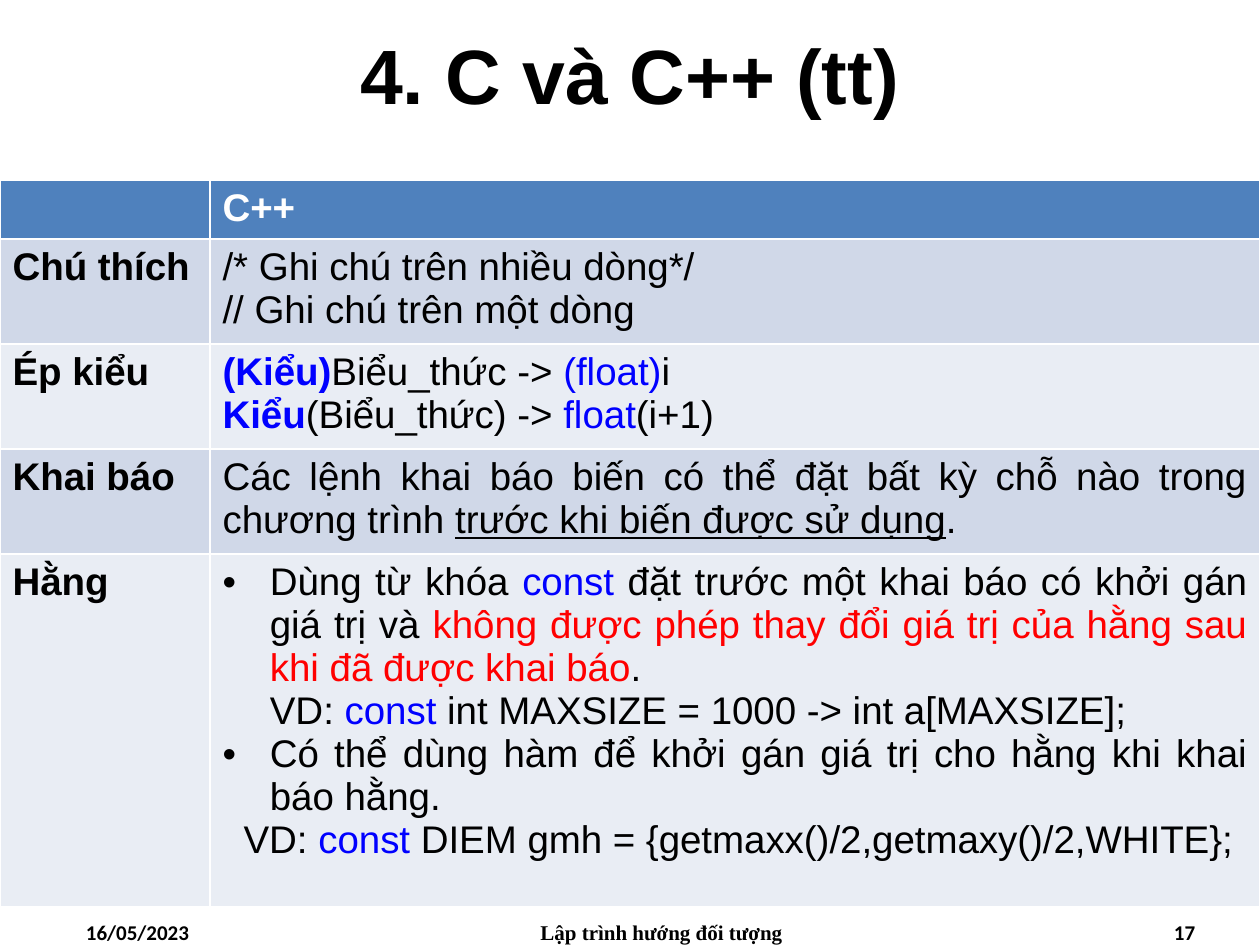
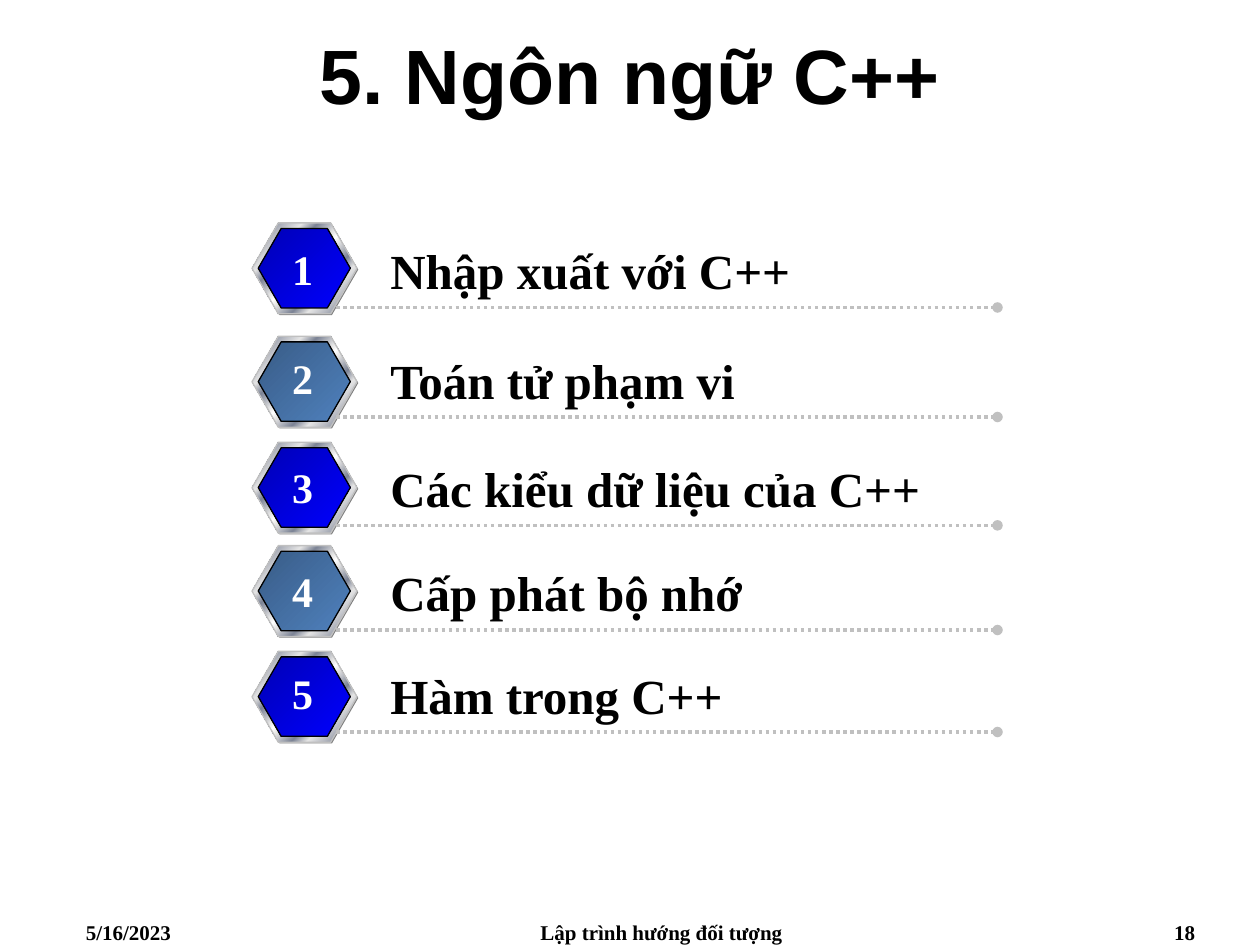
from dataclasses import dataclass

from lxml.etree import SubElement
from pptx import Presentation
from pptx.dml.color import RGBColor
from pptx.enum.dml import MSO_LINE
from pptx.enum.shapes import MSO_CONNECTOR, MSO_SHAPE
from pptx.enum.text import MSO_ANCHOR, PP_ALIGN
from pptx.oxml.ns import qn
from pptx.util import Pt


@dataclass(frozen=True)
class Theme:
    sans: str = "Arial"
    serif: str = "Times New Roman"
    number_font: str = "Calibri"
    title_size: int = 44
    item_size: int = 28
    badge_size: int = 24
    table_size: int = 22
    footer_size: int = 12
    black: str = "000000"
    white: str = "FFFFFF"
    keyword: str = "0000FF"
    warning: str = "FF0000"
    header_fill: str = "4F81BD"
    band_fills: tuple = ("D0D8E8", "E9EDF4")
    silver: str = "C0C0C0"
    shadow: str = "808080"
    metal: tuple = (
        (0, "E6E6E6"), (7, "7D8496"), (26, "E6E6E6"), (34, "7D8496"),
        (46, "E6E6E6"), (50, "FFFFFF"), (54, "E6E6E6"), (66, "7D8496"),
        (74, "E6E6E6"), (93, "7D8496"), (100, "E6E6E6"),
    )
    badge_gradients: tuple = (
        ((0, "0000B6"), (100, "0000FF")),
        ((0, "395C87"), (100, "4F81BD")),
    )


THEME = Theme()
KEYWORD = {"color": THEME.keyword}
BOLD_KEYWORD = {"color": THEME.keyword, "bold": True}
WARNING = {"color": THEME.warning}
UNDERLINE = {"underline": True}

COURSE = "Lập trình hướng đối tượng"

# Each cell is a list of (runs, layout) paragraphs.
COMPARISON = [
    ("Chú thích", [
        (["/* Ghi chú trên nhiều dòng*/"], {}),
        (["// Ghi chú trên một dòng"], {}),
    ]),
    ("Ép kiểu", [
        ([("(Kiểu)", BOLD_KEYWORD), "Biểu_thức -> ", ("(float)", KEYWORD), "i"], {}),
        ([("Kiểu", BOLD_KEYWORD), "(Biểu_thức) -> ", ("float", KEYWORD), "(i+1)"], {}),
    ]),
    ("Khai báo", [
        (["Các lệnh khai báo biến có thể đặt bất kỳ chỗ nào trong chương trình ",
          ("trước khi biến được sử dụng", UNDERLINE), "."], {}),
    ]),
    ("Hằng", [
        (["Dùng từ khóa ", ("const ", KEYWORD),
          "đặt trước một khai báo có khởi gán giá trị và ",
          ("không được phép thay đổi giá trị của hằng sau khi đã được khai báo", WARNING),
          "."], {"margin": 27, "bullet": True}),
        (["VD: ", ("const", KEYWORD), " int MAXSIZE = 1000 -> int a[MAXSIZE];"],
         {"margin": 27}),
        (["Có thể dùng hàm để khởi gán giá trị cho hằng khi khai báo hằng."],
         {"margin": 27, "bullet": True}),
        (["VD: ", ("const", KEYWORD), " DIEM gmh = {getmaxx()/2,getmaxy()/2,WHITE};"],
         {"margin": 12}),
    ]),
]

# Item text, top of its hexagon, height of its dotted line.
AGENDA = [
    ("Nhập xuất với C++", 127.4, 175.7),
    ("Toán tử phạm vi", 192.2, 238.3),
    ("Các kiểu dữ liệu của C++", 252.7, 300.2),
    ("Cấp phát bộ nhớ", 311.8, 360),
    ("Hàm trong C++", 372.2, 418.3),
]


def rgb(color):
    return RGBColor.from_string(color)


def format_paragraph(paragraph, name, size, color, bold=False, align=PP_ALIGN.LEFT):
    paragraph.alignment = align
    font = paragraph.font
    font.name, font.size, font.bold = name, Pt(size), bold
    font.color.rgb = rgb(color)


def add_text(shapes, text, box, name, size, color=THEME.black,
             align=PP_ALIGN.LEFT, wrap=True):
    frame = shapes.add_textbox(*map(Pt, box)).text_frame
    frame.word_wrap = wrap
    frame.text = text
    format_paragraph(frame.paragraphs[0], name, size, color, True, align)


def add_title_slide(presentation, title, date, number, number_font):
    """Add a slide with the shared title style and the three footer texts."""
    slide = presentation.slides.add_slide(presentation.slide_layouts[5])
    placeholder = slide.shapes.title
    placeholder.left, placeholder.top = Pt(0), Pt(0)
    placeholder.width, placeholder.height = presentation.slide_width, Pt(84)
    frame = placeholder.text_frame
    frame.text = title
    frame.vertical_anchor = MSO_ANCHOR.MIDDLE
    format_paragraph(frame.paragraphs[0], THEME.sans, THEME.title_size,
                     THEME.black, True, PP_ALIGN.CENTER)
    footers = [
        (date, 42, 168, number_font, PP_ALIGN.LEFT),
        (COURSE, 264, 228, THEME.serif, PP_ALIGN.CENTER),
        (number, 522, 168, number_font, PP_ALIGN.RIGHT),
    ]
    for text, left, width, name, align in footers:
        add_text(slide.shapes, text, (left, 522, width, 18), name,
                 THEME.footer_size, align=align)
    return slide


def set_indent(paragraph, margin, bullet=False):
    properties = paragraph._p.get_or_add_pPr()
    properties.set("marL", str(Pt(margin)))
    properties.set("indent", str(Pt(-margin if bullet else 0)))
    if bullet:
        font = SubElement(properties, qn("a:buFont"))
        font.set("typeface", THEME.sans)
        mark = SubElement(properties, qn("a:buChar"))
        mark.set("char", "•")


def add_run(paragraph, text, color=None, bold=None, underline=None):
    run = paragraph.add_run()
    run.text = text
    run.font.bold, run.font.underline = bold, underline
    if color:
        run.font.color.rgb = rgb(color)


def fill_cell(cell, paragraphs, fill, color=THEME.black, bold=False):
    cell.fill.solid()
    cell.fill.fore_color.rgb = rgb(fill)
    frame = cell.text_frame
    for index, (runs, layout) in enumerate(paragraphs):
        paragraph = frame.add_paragraph() if index else frame.paragraphs[0]
        if layout:
            set_indent(paragraph, **layout)
        format_paragraph(paragraph, THEME.sans, THEME.table_size, color, bold,
                         PP_ALIGN.JUSTIFY)
        for run in runs:
            text, style = (run, {}) if isinstance(run, str) else run
            add_run(paragraph, text, **style)


def add_comparison_table(slide):
    column_widths = (120, 600)
    row_heights = (32.4, 57.6, 57.6, 57.6, 201.6)
    table = slide.shapes.add_table(
        len(row_heights), len(column_widths), Pt(0), Pt(103),
        Pt(sum(column_widths)), Pt(sum(row_heights))).table
    for column, width in zip(table.columns, column_widths):
        column.width = Pt(width)
    for row, height in zip(table.rows, row_heights):
        row.height = Pt(height)
    fill_cell(table.cell(0, 0), [], THEME.header_fill)
    fill_cell(table.cell(0, 1), [(["C++"], {})], THEME.header_fill, THEME.white, True)
    for row, (heading, paragraphs) in enumerate(COMPARISON, 1):
        fill = THEME.band_fills[(row - 1) % 2]
        fill_cell(table.cell(row, 0), [([heading], {})], fill, bold=True)
        fill_cell(table.cell(row, 1), paragraphs, fill)


def set_gradient(shape, stops):
    """Fill the shape at 45 degrees with (percent, colour) stops."""
    shape.fill.gradient()
    shape.fill.gradient_angle = 315
    stop_list = shape._element.spPr.find(qn("a:gradFill")).find(qn("a:gsLst"))
    stop_list.clear()
    for percent, color in stops:
        stop = SubElement(stop_list, qn("a:gs"))
        stop.set("pos", str(percent * 1000))
        SubElement(stop, qn("a:srgbClr")).set("val", color)


def add_hexagon(shapes, left, top, width, height, stops=None, line=None):
    hexagon = shapes.add_shape(MSO_SHAPE.HEXAGON, *map(Pt, (left, top, width, height)))
    hexagon.shadow.inherit = False
    hexagon.adjustments[0] = 0.289
    if stops:
        set_gradient(hexagon, stops)
    else:
        hexagon.fill.solid()
        hexagon.fill.fore_color.rgb = rgb(THEME.shadow)
    if line:
        hexagon.line.color.rgb = rgb(line)
        hexagon.line.width = Pt(0.75)
    else:
        hexagon.line.fill.background()


def add_dotted_line(shapes, left, right, y):
    connector = shapes.add_connector(
        MSO_CONNECTOR.STRAIGHT, Pt(left), Pt(y), Pt(right), Pt(y))
    connector.line.color.rgb = rgb(THEME.silver)
    connector.line.width = Pt(2)
    connector.line.dash_style = MSO_LINE.ROUND_DOT
    properties = connector._element.spPr
    SubElement(properties.find(qn("a:ln")), qn("a:tailEnd")).set("type", "oval")
    SubElement(properties, qn("a:effectLst"))


def add_agenda_item(slide, number, text, top, line_y):
    shapes = slide.shapes.add_group_shape().shapes
    add_hexagon(shapes, 144.7, top + 0.7, 60, 52)
    add_hexagon(shapes, 144, top, 60, 52, THEME.metal, THEME.silver)
    add_hexagon(shapes, 147.6, top + 3.2, 52.6, 45.4,
                THEME.badge_gradients[(number - 1) % 2], THEME.black)
    add_dotted_line(shapes, 192, 570, line_y)
    add_text(shapes, text, (216, line_y - 41.8, 354, 41), THEME.serif, THEME.item_size)
    add_text(shapes, str(number), (159.6, line_y - 40.3, 26.6, 36), THEME.serif,
             THEME.badge_size, THEME.white, PP_ALIGN.CENTER, wrap=False)


def main():
    presentation = Presentation()
    presentation.slide_width, presentation.slide_height = Pt(720), Pt(540)

    comparison = add_title_slide(presentation, "4. C và C++ (tt)", "16/05/2023", "17",
                                 THEME.number_font)
    add_comparison_table(comparison)

    agenda = add_title_slide(presentation, "5. Ngôn ngữ C++", "5/16/2023", "18",
                             THEME.serif)
    for number, (text, top, line_y) in enumerate(AGENDA, 1):
        add_agenda_item(agenda, number, text, top, line_y)

    presentation.save("out.pptx")


if __name__ == "__main__":
    main()
